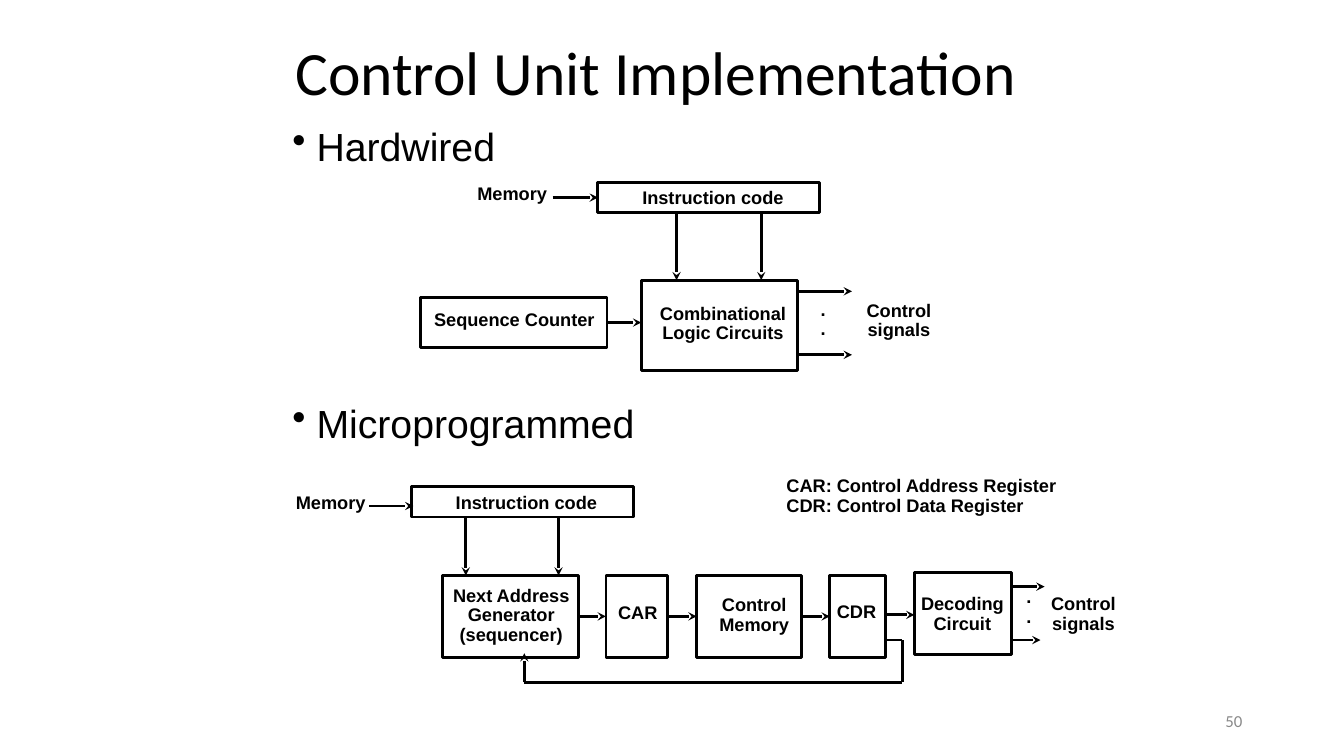
from lxml.etree import SubElement
from pptx import Presentation
from pptx.dml.color import RGBColor
from pptx.enum.shapes import MSO_CONNECTOR as Connector, MSO_SHAPE as Preset
from pptx.enum.text import MSO_ANCHOR as Anchor, PP_ALIGN as Align
from pptx.oxml.ns import qn
from pptx.util import Inches, Pt

COLORS = {"ink": "000000", "paper": "FFFFFF", "muted": "898989"}
TOP, LEFT, BOTTOM, RIGHT = range(4)


def rgb(name):
    return RGBColor.from_string(COLORS[name])


class Diagram:
    """Drawing style for one slide."""

    def __init__(self, slide):
        self.slide = slide

    def text(self, lines, left, top, width, height, size=13, font="Arial", bold=False,
             color="ink", align=Align.LEFT, anchor=Anchor.TOP, spacing=0.9,
             side=0.1, edge=0.05):
        shape = self.slide.shapes.add_textbox(*map(Inches, (left, top, width, height)))
        frame = shape.text_frame
        frame.word_wrap = True
        frame.vertical_anchor = anchor
        frame.margin_left = frame.margin_right = Inches(side)
        frame.margin_top = frame.margin_bottom = Inches(edge)
        frame.text = lines
        for paragraph in frame.paragraphs:
            paragraph.alignment = align
            paragraph.line_spacing = spacing
            paragraph.font.size = Pt(size)
            paragraph.font.name = font
            paragraph.font.bold = bold
            paragraph.font.color.rgb = rgb(color)
        return shape

    def label(self, lines, left, top, width, height=0.3, align=Align.CENTER):
        return self.text(lines, left, top, width, height, bold=True, align=align, side=0)

    def bullet(self, words, left, top, width):
        shape = self.text(words, left, top, width, 0.54, size=28, spacing=1.02,
                          side=0.07, edge=0.03)
        properties = shape.text_frame.paragraphs[0]._p.get_or_add_pPr()
        properties.set("marL", str(Inches(0.24)))
        properties.set("indent", str(-Inches(0.24)))
        # Bullet marks come before the default run properties
        mark = SubElement(properties, qn("a:buChar"), char="•")
        defaults = properties.find(qn("a:defRPr"))
        if defaults is not None:
            defaults.addprevious(mark)

    def box(self, left, top, width, height):
        shape = self.slide.shapes.add_shape(
            Preset.RECTANGLE, *map(Inches, (left, top, width, height)))
        shape.shadow.inherit = False
        shape.fill.solid()
        shape.fill.fore_color.rgb = rgb("paper")
        shape.line.color.rgb = rgb("ink")
        shape.line.width = Pt(2)
        return shape

    def line(self, start, end, arrow=True, width=2):
        connector = self.slide.shapes.add_connector(
            Connector.STRAIGHT, *map(Inches, (*start, *end)))
        connector.line.color.rgb = rgb("ink")
        connector.line.width = Pt(width)
        if arrow:
            SubElement(connector.line._get_or_add_ln(), qn("a:tailEnd"), type="stealth")
        SubElement(connector._element.spPr, qn("a:effectLst"))
        return connector

    def link(self, source, target):
        connector = self.line((0, 0), (1, 1))
        connector.begin_connect(source, RIGHT)
        connector.end_connect(target, LEFT)


def draw_hardwired(diagram):
    diagram.bullet("Hardwired", 2.83, 1.17, 2.6)

    # Blocks
    instruction = diagram.box(5.93, 1.81, 2.2, 0.3)
    diagram.box(6.36, 2.78, 1.55, 0.9)
    counter = diagram.box(4.17, 2.95, 1.85, 0.5)

    # Labels
    diagram.label("Instruction code", 6.26, 1.82, 1.62)
    diagram.label("Combinational\nLogic Circuits", 6.45, 2.97, 1.44, 0.49)
    diagram.label("Memory", 4.63, 1.78, 0.9)
    diagram.label("Sequence Counter", 4.19, 3.03, 1.82)
    diagram.label(".\n.", 8.04, 2.93, 0.25, 0.49)
    diagram.label("Control\nsignals", 8.49, 2.94, 0.85, 0.49)

    # Arrows
    diagram.line((5.48, 1.96), (5.93, 1.96)).end_connect(instruction, LEFT)
    diagram.line((6.02, 3.2), (6.36, 3.2)).begin_connect(counter, RIGHT)
    for x in (6.71, 7.55):
        diagram.line((x, 2.1), (x, 2.78))
    for y in (2.89, 3.52):
        diagram.line((7.91, y), (8.45, y))


def draw_microprogrammed(diagram):
    diagram.bullet("Microprogrammed", 2.83, 3.92, 4)

    # Blocks
    diagram.box(4.08, 4.83, 2.2, 0.3)
    generator, address, memory, data = [
        diagram.box(left, 5.71, width, 0.81)
        for left, width in ((4.39, 1.35), (6.01, 0.61), (6.91, 1.04), (8.23, 0.55))]
    diagram.box(9.07, 5.68, 0.96, 0.81)

    # Labels
    diagram.label("Instruction code", 4.41, 4.85, 1.62)
    diagram.label("Memory", 2.83, 4.85, 0.9)
    diagram.label("Next Address\nGenerator\n(sequencer)", 4.39, 5.77, 1.36, 0.67)
    diagram.label("CAR", 6.03, 5.94, 0.59)
    diagram.label("Control\nMemory", 7.03, 5.86, 0.9, 0.49)
    diagram.label("CDR", 8.2, 5.93, 0.59)
    diagram.label("Decoding\nCircuit", 9.03, 5.85, 1.03, 0.49)
    diagram.label(".\n.", 10.08, 5.78, 0.25, 0.49)
    diagram.label("Control\nsignals", 10.32, 5.85, 0.85, 0.49)
    diagram.label("CAR: Control Address Register\nCDR: Control Data Register",
                  7.8, 4.68, 2.9, 0.49, align=Align.LEFT)

    # Arrows between blocks
    for source, target in ((generator, address), (address, memory), (memory, data)):
        diagram.link(source, target)
    diagram.line((3.66, 5.02), (4.1, 5.02))
    diagram.line((8.78, 6.1), (9.07, 6.1))
    for x in (4.62, 5.54):
        diagram.line((x, 5.13), (x, 5.71))
    for y, tip in ((5.82, 10.36), (6.35, 10.32)):
        diagram.line((10.03, y), (tip, y))

    # Feedback path from CDR to the sequencer
    diagram.line((8.78, 6.35), (8.95, 6.35), arrow=False, width=1.5)
    diagram.line((8.95, 6.35), (8.95, 6.77), arrow=False)
    diagram.line((5.2, 6.77), (8.95, 6.77), arrow=False)
    diagram.line((5.2, 6.77), (5.2, 6.48))


def main():
    presentation = Presentation()
    presentation.slide_width = Inches(13.33)
    presentation.slide_height = Inches(7.5)
    diagram = Diagram(presentation.slides.add_slide(presentation.slide_layouts[6]))

    # Title and slide number
    diagram.text("Control Unit Implementation", 2.83, 0.25, 8.5, 1, size=44,
                 font="Calibri", anchor=Anchor.MIDDLE)
    diagram.text("50", 9.42, 6.95, 3, 0.4, size=12, font="Calibri", color="muted",
                 align=Align.RIGHT, anchor=Anchor.MIDDLE, spacing=1.0)

    draw_hardwired(diagram)
    draw_microprogrammed(diagram)
    presentation.save("out.pptx")


if __name__ == "__main__":
    main()
